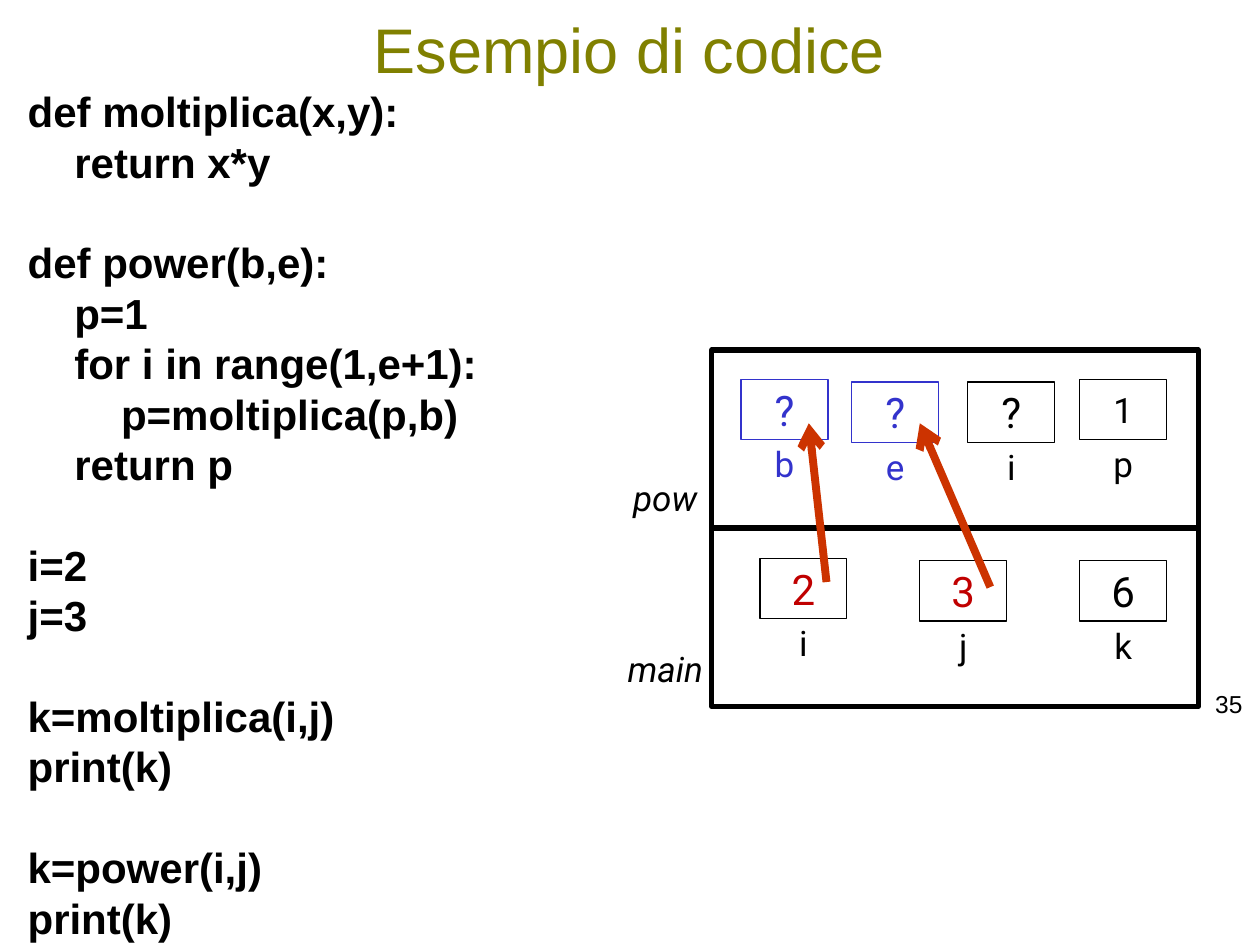
"""Build the slide that shows code beside its call frames."""
import pptx
import pptx.util
import pptx.dml.color
import pptx.enum.shapes
import pptx.enum.text
import pptx.oxml

Pt = pptx.util.Pt
Kind = pptx.enum.shapes.MSO_SHAPE
Align = pptx.enum.text.PP_ALIGN
Anchor = pptx.enum.text.MSO_ANCHOR
Fit = pptx.enum.text.MSO_AUTO_SIZE
NS = 'xmlns:a="http://schemas.openxmlformats.org/drawingml/2006/main"'
HUES = {"black": "000000", "olive": "808000", "blue": "3333CC",
        "red": "C00000", "rust": "CC3300"}


def hue(name):
    """Return the colour with this name."""
    return pptx.dml.color.RGBColor.from_string(HUES[name])


def apply(item, vals):
    """Set each attribute in vals on item."""
    for key, val in vals.items():
        setattr(item, key, val)


class Page:
    """Hold the style and the current slide."""

    mid = {"word_wrap": False, "auto_size": Fit.NONE,
           "vertical_anchor": Anchor.MIDDLE}
    top = {"word_wrap": True, "auto_size": Fit.NONE,
           "vertical_anchor": Anchor.TOP}
    line = Pt(28.8)
    step = 26.7

    def __init__(self, slide):
        """Keep the slide."""
        self.slide = slide
        self.shapes = slide.shapes

    def place(self, item, box):
        """Move an item to a box."""
        apply(item, dict(zip(("left", "top", "width", "height"), map(Pt, box))))

    def put(self, para, text, size, name="black", face="Roboto",
            align=Align.CENTER, **more):
        """Fill a paragraph with one styled run."""
        para.alignment = align
        run = para.add_run()
        run.text = text
        apply(run.font, {"name": face, "size": Pt(size), **more})
        run.font.color.rgb = hue(name)

    def title(self, text, box):
        """Fill the title placeholder."""
        item = self.shapes.title
        self.place(item, box)
        apply(item.text_frame, self.mid | {"word_wrap": True})
        self.put(item.text_frame.paragraphs[0], text, 36, "olive", "Arial")

    def code(self, blocks, box):
        """Fill the body placeholder with blocks of indented lines."""
        item = self.slide.placeholders[1]
        self.place(item, box)
        frame = item.text_frame
        apply(frame, self.top | {"margin_right": 0})
        for num, block in enumerate(blocks):
            for row, (depth, text) in enumerate(block):
                first = num == row == 0
                para = frame.paragraphs[0] if first else frame.add_paragraph()
                gap = self.line if num and not row else Pt(0)
                apply(para, {"line_spacing": self.line, "space_before": gap,
                             "space_after": Pt(0)})
                self.put(para, text, 24, face="Arial", align=Align.LEFT,
                         bold=True)
                prop = para._p.get_or_add_pPr()
                prop.set("marL", str(int(Pt(depth * self.step))))
                prop.set("indent", "0")
                prop.append(pptx.oxml.parse_xml(f"<a:buNone {NS}/>"))

    def label(self, text, box, size=20, home=None, frame=None, **look):
        """Add a text box."""
        item = (home or self.shapes).add_textbox(*map(Pt, box))
        apply(item.text_frame, frame or self.mid)
        self.put(item.text_frame.paragraphs[0], text, size, **look)

    def rect(self, box, width, name="black", home=None):
        """Add an outlined rectangle."""
        item = (home or self.shapes).add_shape(Kind.RECTANGLE, *map(Pt, box))
        item.shadow.inherit = False
        item.fill.background()
        item.line.color.rgb = hue(name)
        item.line.width = Pt(width)
        return item

    def cell(self, left, top, value, name, edge="black", ink="black", size=24):
        """Add a group of a value box and its variable name."""
        home = self.shapes.add_group_shape().shapes
        item = self.rect((left, top, 49.7, 34.5), 0.75, edge, home)
        apply(item.text_frame, self.mid)
        self.put(item.text_frame.paragraphs[0], value, size, ink)
        self.label(name, (left, top + 31, 49.7, 34.5), home=home, name=edge)

    def arrow(self, *ends):
        """Add an arrow between two points."""
        item = self.shapes.add_connector(
            pptx.enum.shapes.MSO_CONNECTOR.STRAIGHT, *map(Pt, ends))
        item.line.color.rgb = hue("rust")
        item.line.width = Pt(4.5)
        item.line._get_or_add_ln().append(
            pptx.oxml.parse_xml(f'<a:tailEnd {NS} type="arrow"/>'))
        item._element.spPr.append(pptx.oxml.parse_xml(f"<a:effectLst {NS}/>"))


deck = pptx.Presentation()
apply(deck, {"slide_width": Pt(720), "slide_height": Pt(540)})
page = Page(deck.slides.add_slide(deck.slide_layouts[1]))

page.title("Esempio di codice", (4.3, 2.9, 710.6, 49.7))
page.code([
    [(0, "def moltiplica(x,y):"), (1, "return x*y")],
    [(0, "def power(b,e):"), (1, "p=1"), (1, "for i in range(1,e+1):"),
     (2, "p=moltiplica(p,b)"), (1, "return p")],
    [(0, "i=2"), (0, "j=3")],
    [(0, "k=moltiplica(i,j)"), (0, "print(k)")],
    [(0, "k=power(i,j)"), (0, "print(k)")],
], (8.6, 45.4, 273.6, 501.8))
page.label("35", (662.4, 390.2, 54.7, 28.1), 14, frame=page.top,
           face="Arial", align=Align.RIGHT)

for top in (301.8, 200):
    page.rect((406.8, top, 277.9, 102), 3)
page.label("main", (334.8, 365, 90.7, 34.5), italic=True)
page.label("pow", (347, 267.1, 66.2, 34.5), italic=True)

for cell in (
    (434.2, 319, "2", "i", "black", "red"),
    (525.6, 320.4, "3", "j", "black", "red"),
    (617, 320.4, "6", "k"),
    (423.4, 216.7, "?", "b", "blue", "blue"),
    (486.7, 218.2, "?", "e", "blue", "blue"),
    (553, 218.2, "?", "i"),
    (617, 216.7, "1", "p", "black", "black", 20),
):
    page.cell(*cell)

page.arrow(565.9, 335.5, 525.6, 241.9)
page.arrow(472.3, 332.6, 462.2, 241.9)

deck.save("out.pptx")
